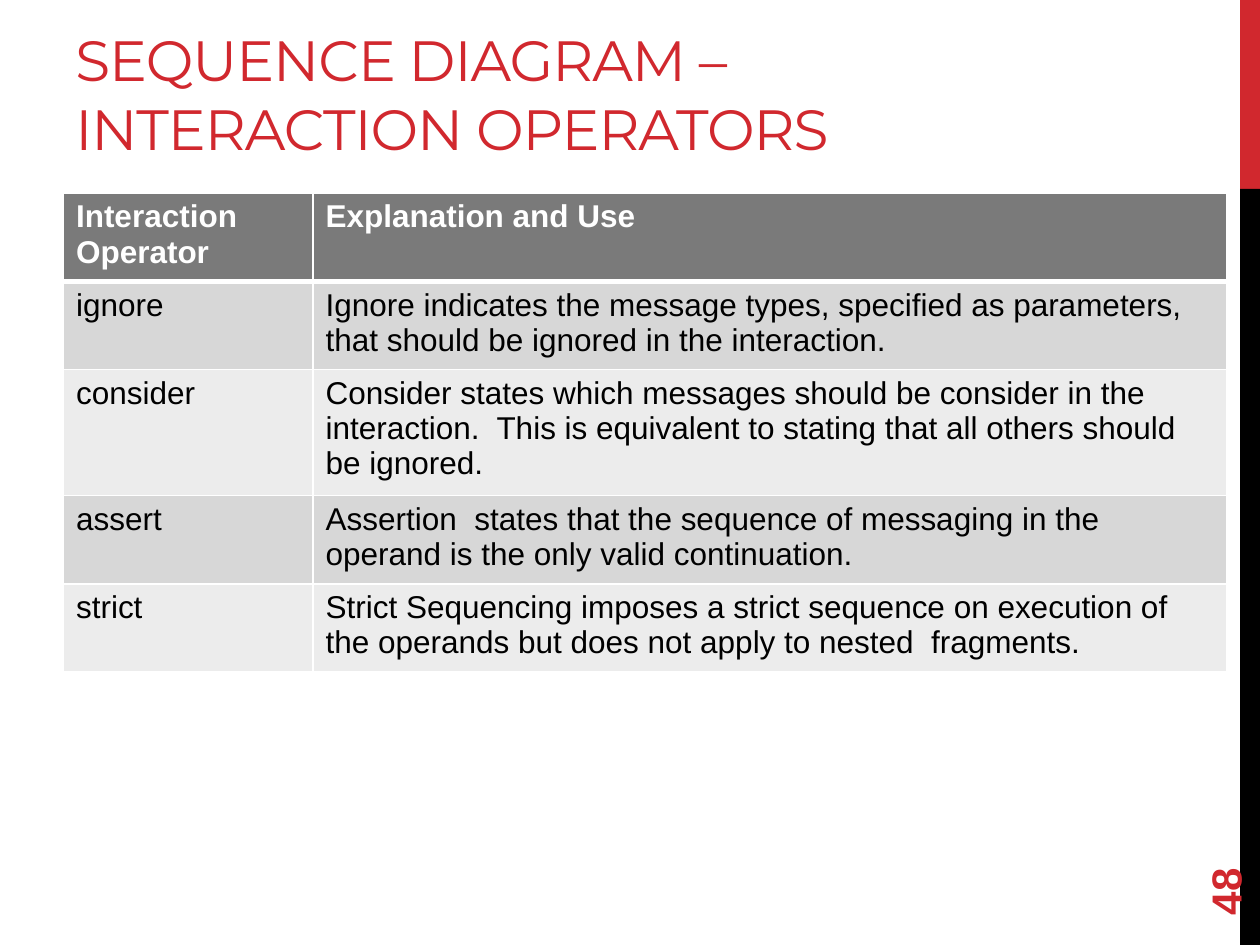
from dataclasses import dataclass

from lxml import etree
from pptx import Presentation
from pptx import util as u
from pptx.dml.color import RGBColor
from pptx.enum import shapes, text
from pptx.oxml.ns import qn


@dataclass(frozen=True)
class Theme:
    red: str = "D1282E"
    black: str = "000000"
    white: str = "FFFFFF"
    header: str = "7A7A7A"
    bands: tuple = ("D7D7D7", "ECECEC")
    title_font: str = "Montserrat"
    body_font: str = "Arial"
    title_size: float = 32.4
    number_size: int = 24
    table_size: int = 18


THEME = Theme()
TITLE = "SEQUENCE DIAGRAM – INTERACTION OPERATORS"
# Row height in cm, operator, explanation
ROWS = [
    (1.65, "Interaction Operator", "Explanation and Use"),
    (1.65, "ignore", "Ignore indicates the message types, specified as "
     "parameters, that should be ignored in the interaction."),
    (2.35, "consider", "Consider states which messages should be consider in "
     "the interaction.  This is equivalent to stating that all others should "
     "be ignored."),
    (1.65, "assert", "Assertion  states that the sequence of messaging in the "
     "operand is the only valid continuation."),
    (1.65, "strict", "Strict Sequencing imposes a strict sequence on execution "
     "of the operands but does not apply to nested  fragments."),
]
COLUMN_WIDTHS = (5.03, 18.42)


def set_font(p, name, size, color, bold=False):
    p.font.name = name
    p.font.size = u.Pt(size)
    p.font.bold = bold
    p.font.color.rgb = RGBColor.from_string(color)


def add_bar(s, top, height, color):
    sp = s.shapes.add_shape(shapes.MSO_SHAPE.RECTANGLE, u.Cm(25), u.Cm(top),
                            u.Cm(0.4), u.Cm(height))
    sp.shadow.inherit = False
    sp.fill.solid()
    sp.fill.fore_color.rgb = RGBColor.from_string(color)
    sp.line.fill.background()


def add_text(s, box, content, anchor, **font):
    sp = s.shapes.add_textbox(*(u.Cm(v) for v in box))
    tf = sp.text_frame
    tf.word_wrap = True
    tf.vertical_anchor = anchor
    p = tf.paragraphs[0]
    p.text = content
    set_font(p, **font)
    return sp


def set_borders(cell, bottom):
    """Draw white cell borders, 1 pt except for the given bottom width."""
    tc_pr = cell._tc.get_or_add_tcPr()
    for side, width in (("L", 1), ("R", 1), ("T", 1), ("B", bottom)):
        ln = etree.SubElement(tc_pr, qn(f"a:ln{side}"), w=str(u.Pt(width)))
        fill = etree.SubElement(ln, qn("a:solidFill"))
        etree.SubElement(fill, qn("a:srgbClr"), val=THEME.white)


def add_operator_table(s):
    table = s.shapes.add_table(
        len(ROWS), len(COLUMN_WIDTHS), u.Cm(1.28), u.Cm(3.89),
        u.Cm(sum(COLUMN_WIDTHS)), u.Cm(sum(row[0] for row in ROWS))).table
    for column, width in zip(table.columns, COLUMN_WIDTHS):
        column.width = u.Cm(width)
    for i, (height, *contents) in enumerate(ROWS):
        table.rows[i].height = u.Cm(height)
        is_header = i == 0
        fill = THEME.header if is_header else THEME.bands[(i - 1) % 2]
        color = THEME.white if is_header else THEME.black
        for cell, content in zip(table.rows[i].cells, contents):
            cell.text = content
            set_font(cell.text_frame.paragraphs[0], THEME.body_font,
                     THEME.table_size, color, bold=is_header)
            set_borders(cell, bottom=3 if is_header else 1)
            cell.fill.solid()
            cell.fill.fore_color.rgb = RGBColor.from_string(fill)


def main():
    prs = Presentation()
    prs.slide_width, prs.slide_height = u.Cm(25.4), u.Cm(19.05)
    s = prs.slides.add_slide(prs.slide_layouts[6])

    add_bar(s, 0, 3.81, THEME.red)
    add_bar(s, 3.81, 15.24, THEME.black)

    title = add_text(s, (1.27, 0.64, 20.75, 2.74), TITLE,
                     text.MSO_ANCHOR.BOTTOM, name=THEME.title_font,
                     size=THEME.title_size, color=THEME.red)
    r = title.text_frame.paragraphs[0].runs[0]
    r._r.get_or_add_rPr().set("spc", "-60")

    number = add_text(s, (22.86, 16.36, 3.66, 1.02), "48",
                      text.MSO_ANCHOR.MIDDLE, name=THEME.body_font,
                      size=THEME.number_size, color=THEME.red, bold=True)
    number.rotation = 270

    add_operator_table(s)
    prs.save("out.pptx")


if __name__ == "__main__":
    main()
